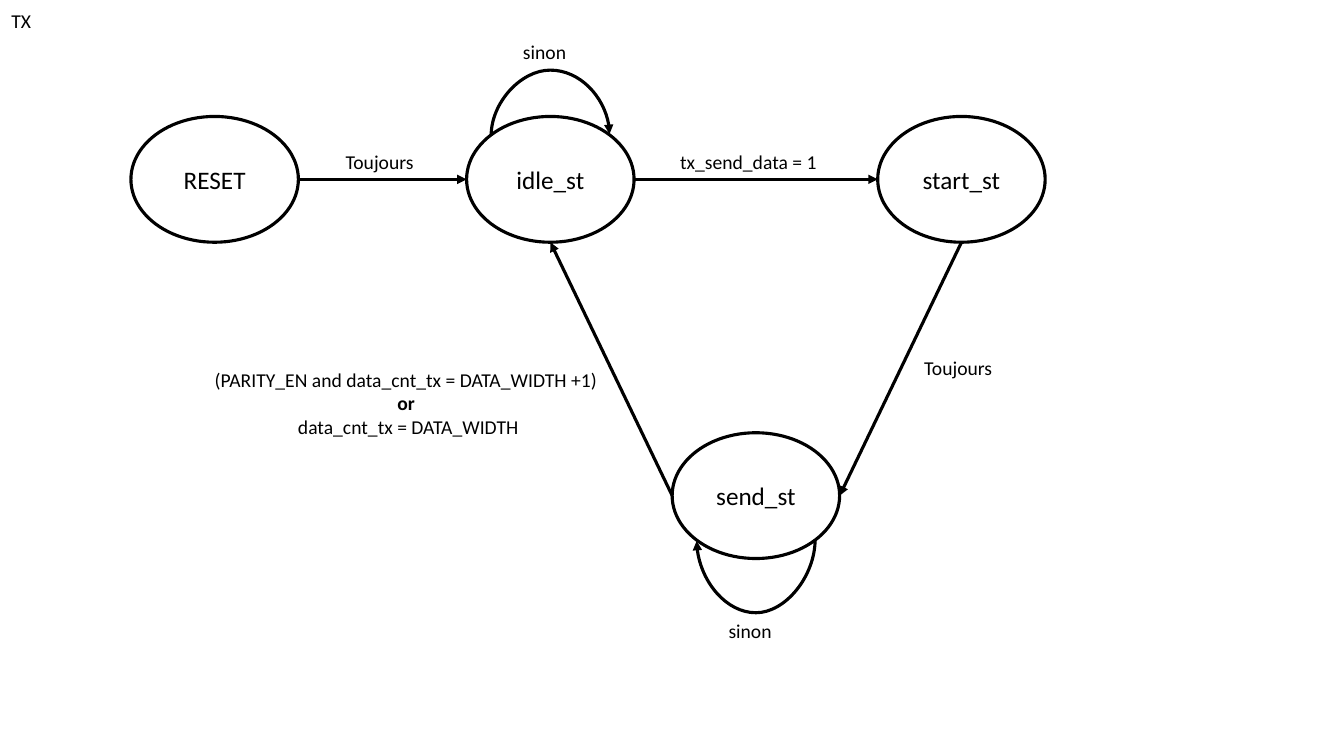
from math import sqrt
from lxml import etree
from pptx import Presentation
from pptx.dml.color import RGBColor
from pptx.enum import shapes as sh, text as tx
from pptx.oxml.ns import qn
from pptx.util import Cm, Pt

BLACK = RGBColor(0, 0, 0)
FONT = "Calibri"
WIDE, HIGH = 4.22, 3.17  # state size, cm
THIN = 0.04  # height between the two ends of a loop, cm

# Content: state centres, arrows (state, side), loops and labels, in cm
TITLE = "TX"
STATES = {
    "RESET": (5.41, 4.52),
    "idle_st": (13.87, 4.52),
    "start_st": (24.23, 4.52),
    "send_st": (19.05, 12.49),
}
SIDES = {"left": (-1, 0), "right": (1, 0), "top": (0, -1), "bottom": (0, 1)}
ARROWS = [
    ("RESET", "right", "idle_st", "left"),
    ("idle_st", "right", "start_st", "left"),
    ("start_st", "bottom", "send_st", "right"),
    ("send_st", "left", "idle_st", "bottom"),
]
LOOPS = [("idle_st", "top", 1.65), ("send_st", "bottom", 1.85)]
LEFT, MID = tx.PP_ALIGN.LEFT, tx.PP_ALIGN.CENTER
LABELS = [
    (["Toujours"], 8.46, 3.66, 2.26, LEFT),
    (["tx_send_data = 1"], 16.89, 3.66, 4.29, LEFT),
    (["Toujours"], 23.04, 8.84, 2.26, LEFT),
    (["sinon"], 12.93, 0.89, 1.91, LEFT),
    (["sinon"], 18.11, 15.47, 1.91, LEFT),
    (["(PARITY_EN and data_cnt_tx = DATA_WIDTH +1) ", "or ",
      "data_cnt_tx = DATA_WIDTH"], 4.98, 9.14, 10.62, MID),
]
BOLD = {"or "}


def write(frame, lines, size, align):
    frame.text = "\n".join(lines)
    for para in frame.paragraphs:
        para.alignment = align
        font = para.font
        font.name, font.size, font.color.rgb = FONT, Pt(size), BLACK
        font.bold = para.text in BOLD


def port(state, side):
    x, y = STATES[state]
    dx, dy = SIDES[side]
    return Cm(x + dx * WIDE / 2), Cm(y + dy * HIGH / 2)


def link(kind, start, end):
    line = slide.shapes.add_connector(kind, *start, *end)
    line.line.color.rgb, line.line.width = BLACK, Pt(2.25)
    etree.SubElement(line.line._get_or_add_ln(), qn("a:tailEnd"), type="triangle")
    etree.SubElement(line._element.spPr, qn("a:effectLst"))
    return line


deck = Presentation()
deck.slide_width, deck.slide_height = Cm(33.87), Cm(19.05)
slide = deck.slides.add_slide(deck.slide_layouts[5])

# Title
title = slide.shapes.title
title.left, title.top, title.width, title.height = Cm(0.03), Cm(0.1), Cm(2.26), Cm(0.86)
write(title.text_frame, [TITLE], 14, LEFT)
title.text_frame.vertical_anchor = tx.MSO_ANCHOR.TOP

# States
for name, (x, y) in STATES.items():
    oval = slide.shapes.add_shape(sh.MSO_SHAPE.OVAL, Cm(x - WIDE / 2),
                                  Cm(y - HIGH / 2), Cm(WIDE), Cm(HIGH))
    oval.shadow.inherit = False
    oval.fill.background()
    oval.line.color.rgb, oval.line.width = BLACK, Pt(2.25)
    write(oval.text_frame, [name], 18, MID)
    oval.text_frame.vertical_anchor = tx.MSO_ANCHOR.MIDDLE

# Straight arrows
for start, out, end, into in ARROWS:
    link(sh.MSO_CONNECTOR.STRAIGHT, port(start, out), port(end, into))

# Loops: thin curved connectors turned a quarter, bulging by the adjustment
for state, side, depth in LOOPS:
    x, y = STATES[state]
    y += SIDES[side][1] * HIGH / sqrt(8)
    half = WIDE / sqrt(8)
    ends = [(Cm(x - THIN / 2), Cm(y - half)), (Cm(x + THIN / 2), Cm(y + half))]
    if side == "top":
        ends.reverse()
    loop = link(sh.MSO_CONNECTOR.CURVE, *ends)
    props = loop._element.spPr
    props.find(qn("a:xfrm")).set("rot", str(90 * 60000))
    guides = props.find(qn("a:prstGeom")).find(qn("a:avLst"))
    etree.SubElement(guides, qn("a:gd"), name="adj1",
                     fmla=f"val {round(depth / THIN * 100000)}")

# Labels
for lines, x, y, wide, align in LABELS:
    box = slide.shapes.add_textbox(Cm(x), Cm(y), Cm(wide), Cm(0.26 + 0.6 * len(lines)))
    box.text_frame.word_wrap = True
    write(box.text_frame, lines, 14, align)

deck.save("out.pptx")
